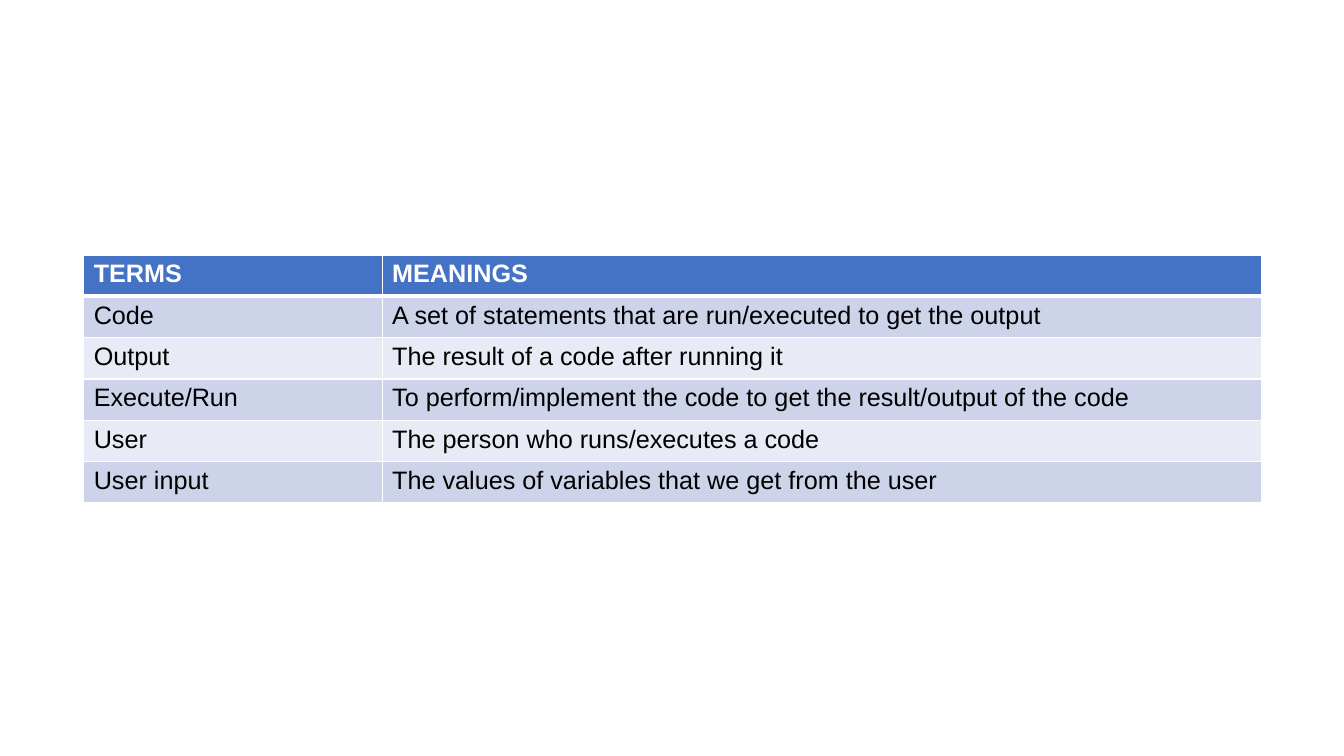
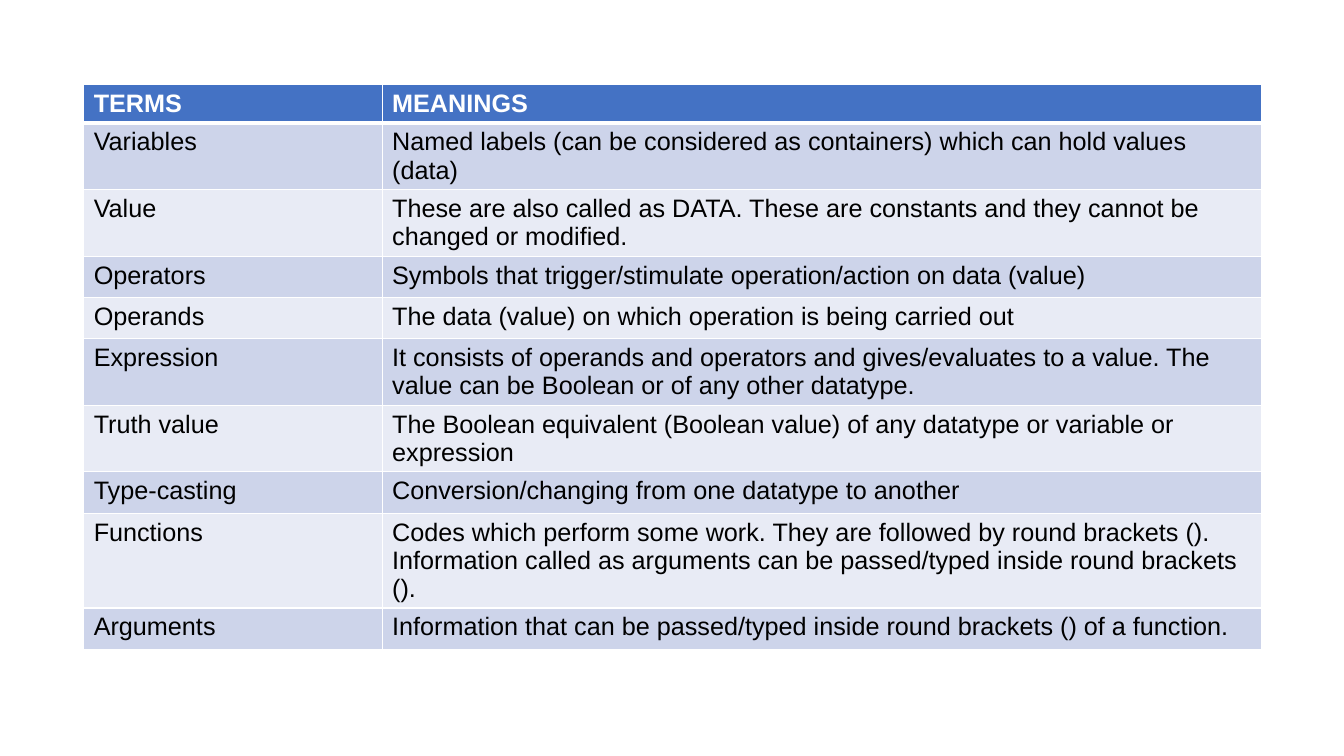
import lxml.etree
import pptx
import pptx.dml.color
import pptx.oxml.ns
import pptx.util

COLORS = {"header": "4472C4", "odd": "CDD4EA", "even": "E8EBF5",
          "white": "FFFFFF", "text": "000000"}
FONT, FONT_SIZE = "Arial", 18
SLIDE_SIZE = (13.33, 7.5)
TABLE_LEFT = 0.83
COLUMN_WIDTHS = (2.96, 8.72)
ROW_HEIGHT = 0.41
HEADINGS = ("TERMS", "MEANINGS")

# Content: one glossary table per slide; a line break starts a new paragraph
GLOSSARIES = [
    {"top": 2.53, "header_height": ROW_HEIGHT, "terms": [
        ("Code", "A set of statements that are run/executed to get the output"),
        ("Output", "The result of a code after running it"),
        ("Execute/Run", "To perform/implement the code to get the result/output of the code"),
        ("User", "The person who runs/executes a code"),
        ("User input", "The values of variables that we get from the user"),
    ]},
    {"top": 0.84, "header_height": 0.21, "terms": [
        ("Variables", "Named labels (can be considered as containers) which can hold values (data)"),
        ("Value", "These are also called as DATA. These are constants and they cannot be "
                  "changed or modified."),
        ("Operators", "Symbols that trigger/stimulate operation/action on data (value)"),
        ("Operands", "The data (value) on which operation is being carried out"),
        ("Expression", "It consists of operands and operators and gives/evaluates to a value. "
                       "The value can be Boolean or of any other datatype."),
        ("Truth value", "The Boolean equivalent (Boolean value) of any datatype or variable "
                        "or expression"),
        ("Type-casting", "Conversion/changing from one datatype to another"),
        ("Functions", "Codes which perform some work. They are followed by round brackets ().\n"
                      "Information called as arguments can be passed/typed inside round brackets ()."),
        ("Arguments", "Information that can be passed/typed inside round brackets () of a function."),
    ]},
]


def rgb(name):
    return pptx.dml.color.RGBColor.from_string(COLORS[name])


def add_borders(cell, widths):
    """Draw white cell borders; widths maps each side to points."""
    properties = cell._tc.get_or_add_tcPr()
    for side, width in widths.items():
        line = lxml.etree.SubElement(properties, pptx.oxml.ns.qn(f"a:ln{side}"),
                                     w=str(pptx.util.Pt(width)))
        fill = lxml.etree.SubElement(line, pptx.oxml.ns.qn("a:solidFill"))
        lxml.etree.SubElement(fill, pptx.oxml.ns.qn("a:srgbClr"), val=COLORS["white"])


def format_cell(cell, text, row):
    is_header = row == 0
    cell.text = text
    add_borders(cell, {"L": 1, "R": 1, "T": 3 if row == 1 else 1, "B": 3 if is_header else 1})
    cell.fill.solid()
    cell.fill.fore_color.rgb = rgb("header" if is_header else "odd" if row % 2 else "even")
    for paragraph in cell.text_frame.paragraphs:
        font = paragraph.font
        font.name, font.size, font.bold = FONT, pptx.util.Pt(FONT_SIZE), is_header
        font.color.rgb = rgb("white" if is_header else "text")


def add_glossary(page, glossary):
    rows = [HEADINGS, *glossary["terms"]]
    heights = [glossary["header_height"]] + [ROW_HEIGHT] * len(glossary["terms"])
    frame = (TABLE_LEFT, glossary["top"], sum(COLUMN_WIDTHS), sum(heights))
    table = page.shapes.add_table(len(rows), len(HEADINGS), *map(pptx.util.Inches, frame)).table
    for column, width in zip(table.columns, COLUMN_WIDTHS):
        column.width = pptx.util.Inches(width)
    for row, (height, texts) in enumerate(zip(heights, rows)):
        table.rows[row].height = pptx.util.Inches(height)
        for column, text in enumerate(texts):
            format_cell(table.cell(row, column), text, row)


def main():
    deck = pptx.Presentation()
    deck.slide_width, deck.slide_height = map(pptx.util.Inches, SLIDE_SIZE)
    blank_layout = deck.slide_layouts[6]
    for glossary in GLOSSARIES:
        add_glossary(deck.slides.add_slide(blank_layout), glossary)
    deck.save("out.pptx")


if __name__ == "__main__":
    main()
